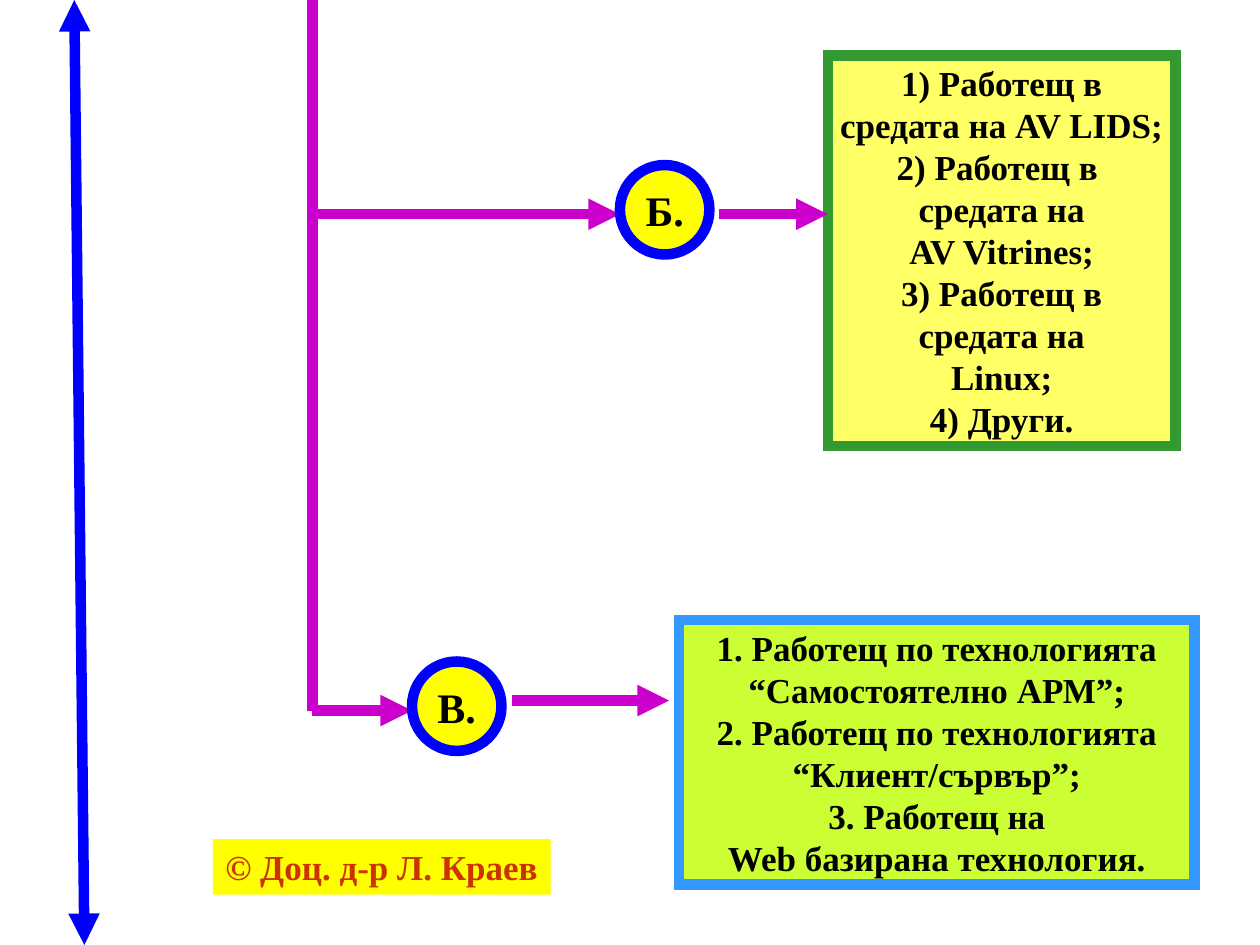
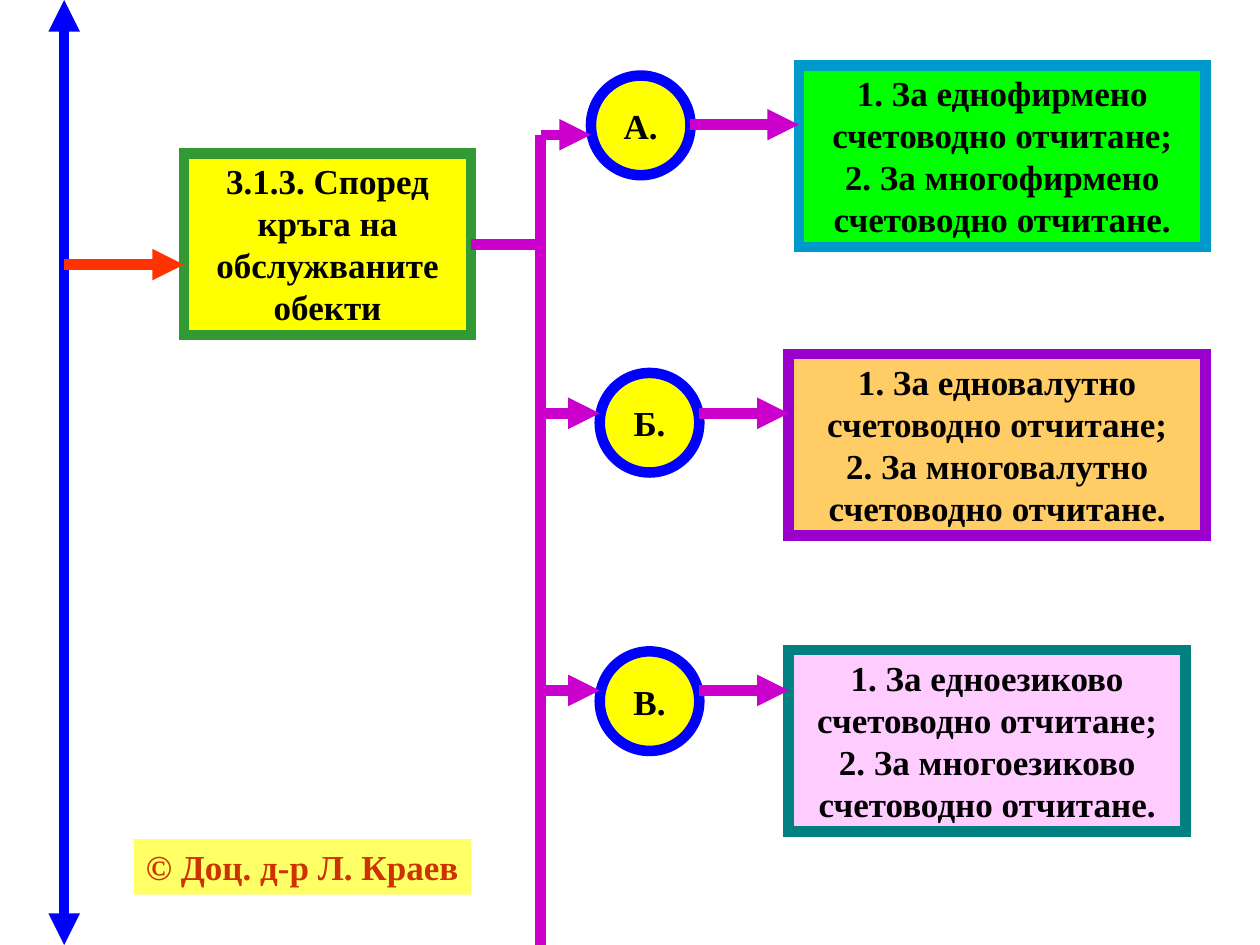
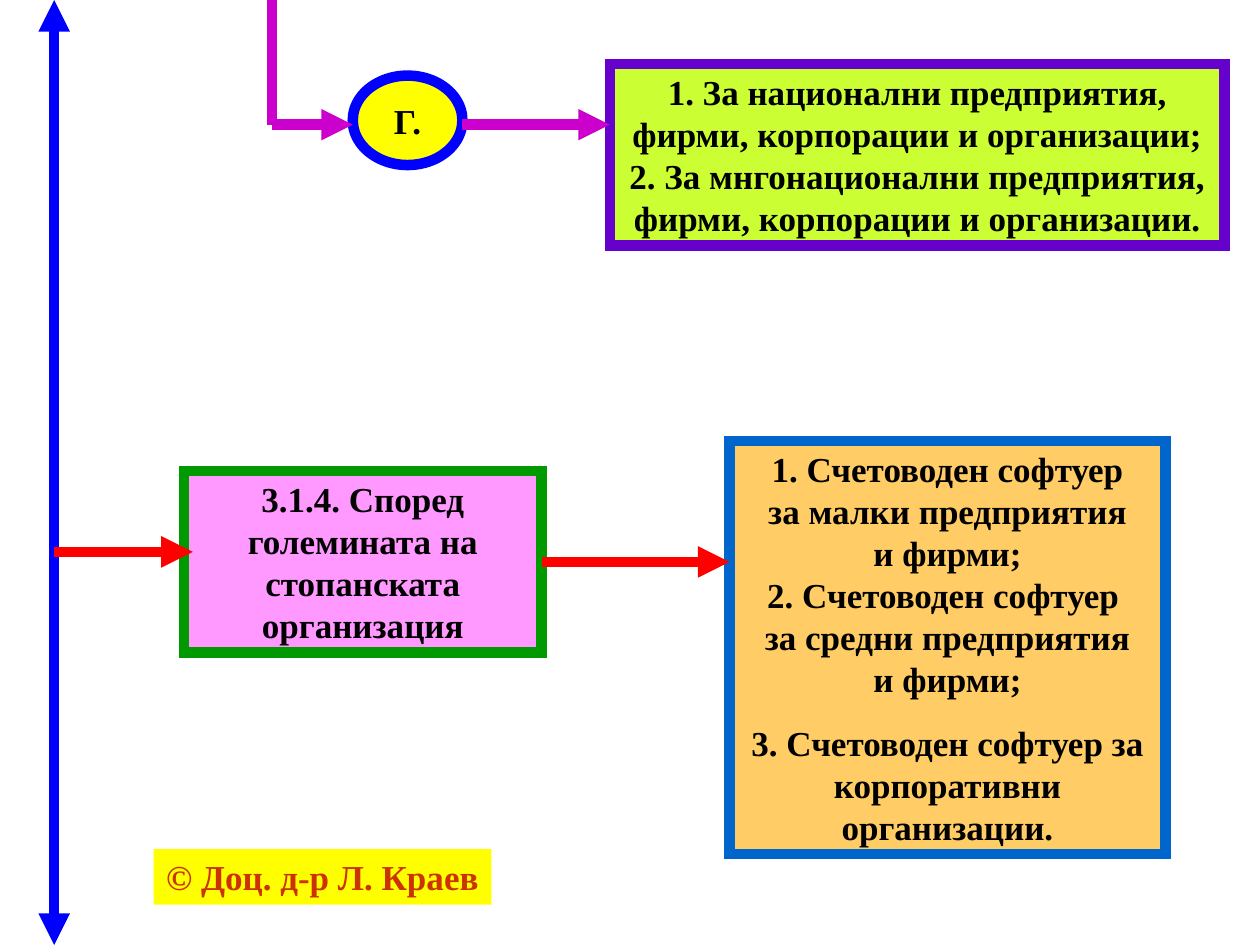
from dataclasses import dataclass

from lxml import etree
from pptx import Presentation
from pptx.dml.color import RGBColor
from pptx.enum import shapes, text
from pptx.oxml import ns
from pptx.util import Inches, Pt


@dataclass(frozen=True)
class Theme:
    font: str = "Times New Roman"
    size: float = 20
    large: float = 24
    stroke: float = 6
    paragraph_gap: float = 12.5
    ink: str = "000000"
    credit: str = "CC3300"
    axis: str = "0000FF"
    branch: str = "CC00CC"
    red: str = "FF0000"
    orange_red: str = "FF3300"
    yellow: str = "FFFF00"
    pale_yellow: str = "FFFF66"
    lime: str = "CCFF33"
    peach: str = "FFCC66"
    green: str = "339933"


THEME = Theme()
PAGE_WIDTH, PAGE_HEIGHT = 10, 7.5
CREDIT = "© Доц. д-р Л. Краев"


@dataclass(frozen=True)
class Box:
    left: float
    top: float
    width: float
    height: float

    @property
    def right(self):
        return self.left + self.width

    def lengths(self):
        return [Inches(v) for v in (self.left, self.top, self.width, self.height)]


def write(shape, paragraphs, size, color, align):
    """Fill a shape with bold text; a newline inside a paragraph is a line break."""
    frame = shape.text_frame
    for index, content in enumerate(paragraphs):
        para = frame.add_paragraph() if index else frame.paragraphs[0]
        para.text = content
        para.alignment = align
        if index:
            para.space_before = Pt(THEME.paragraph_gap)
        for span in para.runs:
            for name, value in {"name": THEME.font, "size": Pt(size), "bold": True}.items():
                setattr(span.font, name, value)
            span.font.color.rgb = RGBColor.from_string(color)


def style_outline(shape, color):
    """Apply a thick line and return its XML element."""
    shape.line.color.rgb = RGBColor.from_string(color)
    shape.line.width = Pt(THEME.stroke)
    return shape.element.spPr.find(ns.qn("a:ln"))


def add_panel(page, kind, box, fill, outline=None):
    shape = page.shapes.add_shape(kind, *box.lengths())
    shape.shadow.inherit = False
    shape.fill.solid()
    shape.fill.fore_color.rgb = RGBColor.from_string(fill)
    if outline:
        etree.SubElement(style_outline(shape, outline), ns.qn("a:miter"), lim="800000")
    else:
        shape.line.fill.background()
    return shape


def set_frame(shape, wrap, anchor, fit):
    settings = {"word_wrap": wrap, "vertical_anchor": anchor, "auto_size": fit}
    for name, value in settings.items():
        setattr(shape.text_frame, name, value)


def add_note(page, box, fill, outline, *paragraphs):
    note = add_panel(page, shapes.MSO_SHAPE.RECTANGLE, box, fill, outline)
    set_frame(note, True, text.MSO_ANCHOR.TOP, text.MSO_AUTO_SIZE.SHAPE_TO_FIT_TEXT)
    write(note, paragraphs, THEME.size, THEME.ink, text.PP_ALIGN.CENTER)


def add_circle(page, box, letter, size):
    circle = add_panel(page, shapes.MSO_SHAPE.OVAL, box, THEME.yellow, THEME.axis)
    set_frame(circle, False, text.MSO_ANCHOR.MIDDLE, text.MSO_AUTO_SIZE.NONE)
    write(circle, [letter], size, THEME.ink, text.PP_ALIGN.CENTER)


def add_credit(page, left, top, fill=THEME.yellow):
    credit = add_panel(page, shapes.MSO_SHAPE.RECTANGLE, Box(left, top, 2.68, 0.44), fill)
    set_frame(credit, False, text.MSO_ANCHOR.TOP, text.MSO_AUTO_SIZE.SHAPE_TO_FIT_TEXT)
    write(credit, [CREDIT], THEME.size, THEME.credit, text.PP_ALIGN.LEFT)


def add_line(page, start, end, color=THEME.branch, heads=()):
    """Draw a thick line; heads names the ends that carry an arrowhead."""
    points = [Inches(v) for v in (*start, *end)]
    line = page.shapes.add_connector(shapes.MSO_CONNECTOR.STRAIGHT, *points)
    outline = style_outline(line, color)
    for head in heads:
        etree.SubElement(outline, ns.qn(f"a:{head}"), type="triangle")
    etree.SubElement(line.element.spPr, ns.qn("a:effectLst"))


def add_arrow(page, left, right, y, color=THEME.branch):
    add_line(page, (left, y), (right, y), color, ["tailEnd"])


def add_axis(page, top_x, bottom_x):
    add_line(page, (top_x, 0), (bottom_x, PAGE_HEIGHT), THEME.axis, ["headEnd", "tailEnd"])


def add_branch(page, trunk, circle, letter, note, note_format, y_in, y_out=None,
               size=THEME.size, gaps=(0, 0), circle_on_top=False):
    """Lead from the trunk to a lettered circle and on to its note."""
    def lead_in():
        add_arrow(page, trunk, circle.left, y_in)

    def lettered_circle():
        add_circle(page, circle, letter, size)

    steps = [lead_in, lettered_circle] if circle_on_top else [lettered_circle, lead_in]
    for step in steps:
        step()
    add_note(page, note, *note_format)
    add_arrow(page, circle.right + gaps[0], note.left - gaps[1],
              y_in if y_out is None else y_out)


def build_environment_page(page):
    trunk = 2.48
    add_credit(page, 1.69, 6.66)
    add_axis(page, 0.59, 0.67)
    add_line(page, (trunk, 0), (trunk, 5.64))
    shared = {"size": THEME.large, "circle_on_top": True}
    systems = ("1) Работещ в\nсредата на AV LIDS;\n2) Работещ в \nсредата на\nAV Vitrines;\n"
               "3) Работещ в\nсредата на\nLinux;\n4) Други.")
    add_branch(page, trunk, Box(4.92, 1.31, 0.71, 0.71), "Б.", Box(6.57, 0.44, 2.76, 3.1),
               (THEME.pale_yellow, THEME.green, systems), 1.7, gaps=(0.08, 0), **shared)
    technologies = ("1. Работещ по технологията\n“Самостоятелно АРМ”;\n"
                    "2. Работещ по технологията\n“Клиент/сървър”;\n"
                    "3. Работещ на\nWeb базирана технология.")
    add_branch(page, trunk, Box(3.27, 5.25, 0.71, 0.71), "В.", Box(5.39, 4.92, 4.09, 2.1),
               (THEME.lime, "3399FF", technologies), 5.64, 5.56, gaps=(0.08, 0.08), **shared)


def build_objects_page(page):
    axis, trunk = 0.51, 4.29
    topic = Box(1.46, 1.22, 2.28, 1.44)
    add_credit(page, 1.06, 6.66, THEME.pale_yellow)
    add_axis(page, axis, axis)
    add_note(page, topic, THEME.yellow, THEME.green,
             "3.1.3. Според\nкръга на\nобслужваните\nобекти")
    add_arrow(page, axis, topic.left, 2.1, THEME.orange_red)
    add_line(page, (topic.right, 1.94), (trunk, 1.94))
    add_line(page, (trunk, 1.07), (trunk, PAGE_HEIGHT))
    branches = [
        ("А.", "фирмено", (4.69, 0.6), (6.34, 0.52, 3.23), "00FF00", "0099CC", 1.07, 0.99),
        ("Б.", "валутно", (4.76, 2.96), (6.26, 2.81, 3.31), THEME.peach, "9900CC", 3.28, 3.28),
        ("В.", "езиково", (4.76, 5.17), (6.26, 5.16, 3.15), "FFCCFF", "008080", 5.48, 5.48),
    ]
    for letter, scope, corner, place, fill, outline, y_in, y_out in branches:
        content = (f"1. За едно{scope}\nсчетоводно отчитане;\n"
                   f"2. За много{scope}\nсчетоводно отчитане.")
        add_branch(page, trunk, Box(*corner, 0.79, 0.79), letter, Box(*place, 1.44),
                   (fill, outline, content), y_in, y_out)


def build_organisation_page(page):
    axis, trunk, branch_y = 0.43, 2.16, 0.99
    add_credit(page, 1.22, 6.74)
    add_axis(page, axis, axis)
    add_line(page, (trunk, 0), (trunk, branch_y))
    nations = ("1. За национални предприятия,\nфирми, корпорации и организации;\n"
               "2. За мнгонационални предприятия, фирми, корпорации и организации.")
    add_branch(page, trunk, Box(2.8, 0.6, 0.87, 0.71), "Г.", Box(4.84, 0.51, 4.88, 1.44),
               (THEME.lime, "6600CC", nations), branch_y)

    topic = Box(1.46, 3.74, 2.84, 1.44)
    sizes = Box(5.79, 3.5, 3.46, 3.28)
    add_note(page, topic, "FF99FF", "009900",
             "3.1.4. Според\nголемината на\nстопанската\nорганизация")
    add_note(page, sizes, THEME.peach, "0066CC",
             "1. Счетоводен софтуер\nза малки предприятия\nи фирми;\n"
             "2. Счетоводен софтуер \nза средни предприятия\nи фирми;",
             "3. Счетоводен софтуер за\nкорпоративни\nорганизации.")
    add_arrow(page, axis, topic.left + 0.07, 4.38, THEME.red)
    add_arrow(page, topic.right, sizes.left, 4.46, THEME.red)


def main():
    deck = Presentation()
    deck.slide_width, deck.slide_height = Inches(PAGE_WIDTH), Inches(PAGE_HEIGHT)
    blank = deck.slide_layouts.get_by_name("Blank")
    for build in (build_environment_page, build_objects_page, build_organisation_page):
        build(deck.slides.add_slide(blank))
    deck.save("out.pptx")


if __name__ == "__main__":
    main()
